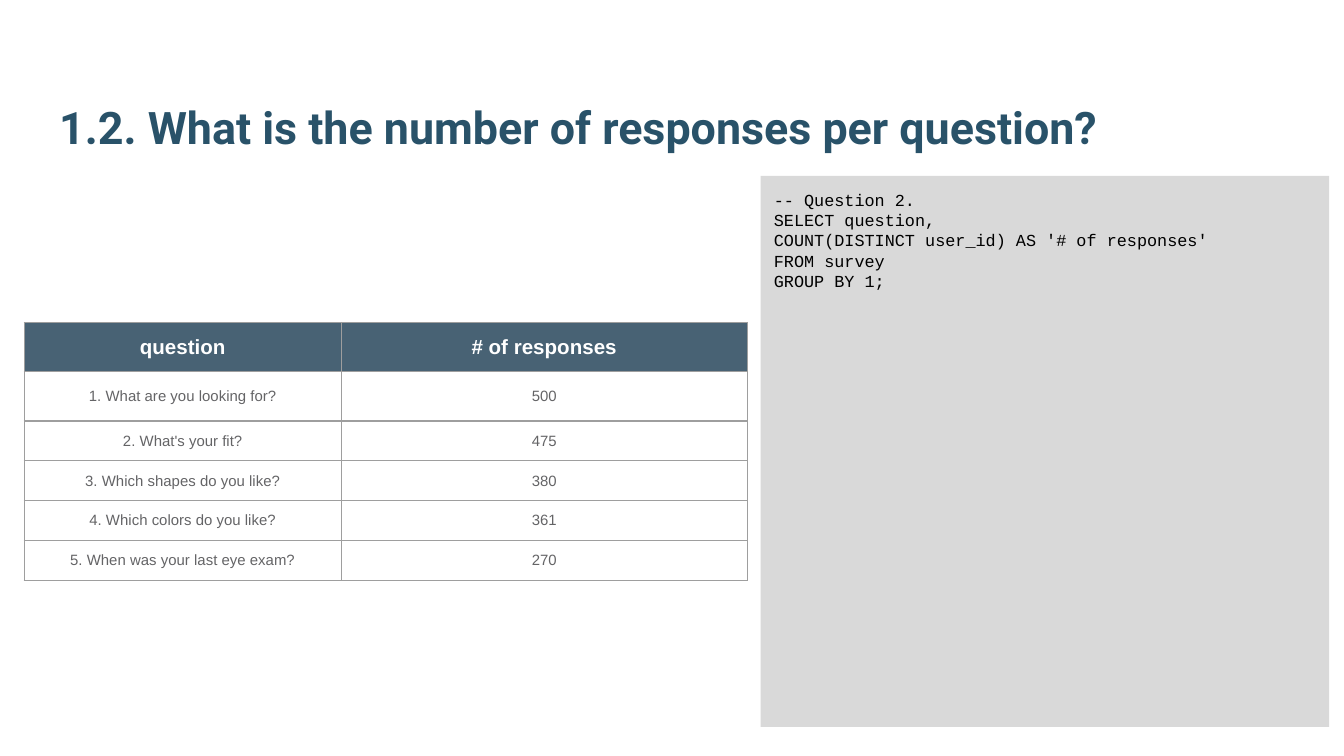
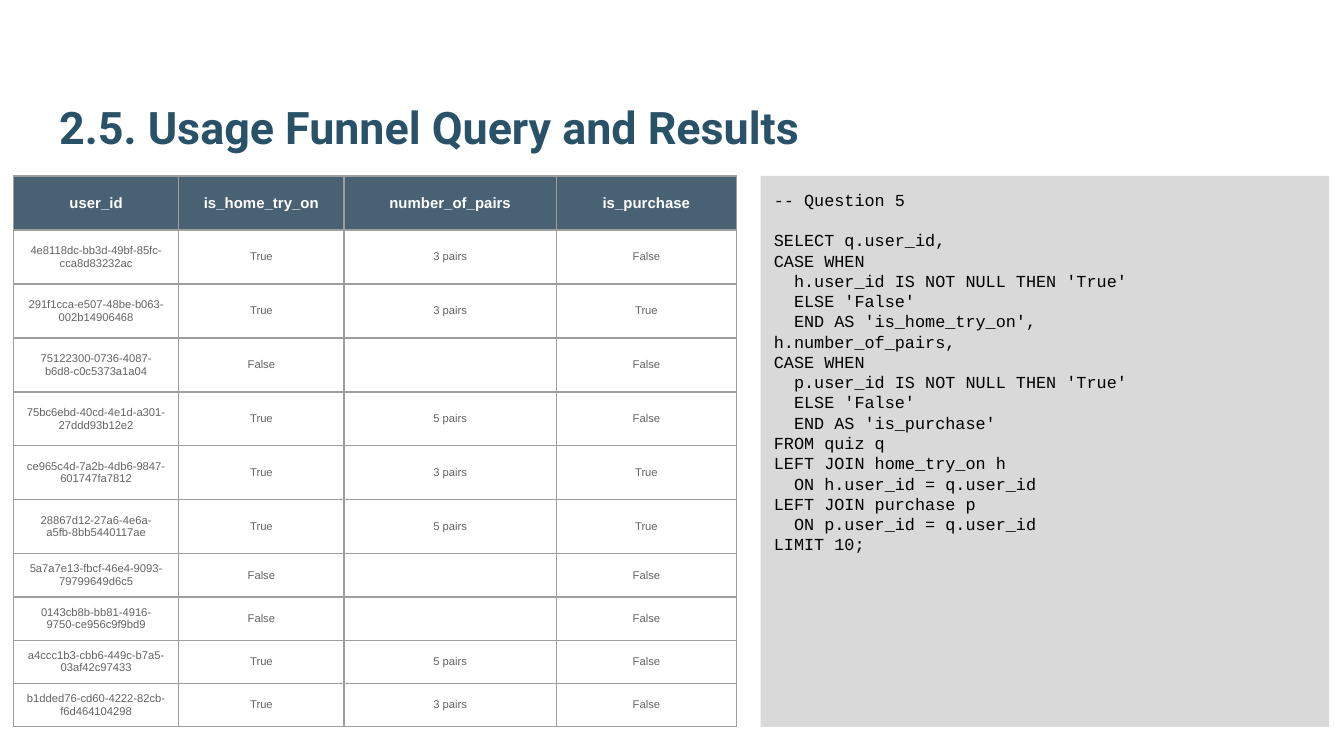
from lxml.etree import SubElement
from pptx import Presentation
from pptx.dml.color import RGBColor
from pptx.enum.shapes import MSO_SHAPE
from pptx.enum.text import MSO_ANCHOR, MSO_AUTO_SIZE, PP_ALIGN
from pptx.oxml.ns import qn
from pptx.util import Inches, Pt

# Shared style
TITLE, HEADER, BODY = "295269", "204056", "646466"
PANEL, RULE, WHITE, BLACK = "D9D9D9", "9E9E9E", "FFFFFF", "000000"
HEADER_ALPHA = 82
CODE_SIZE, CODE_LINE = 9, 10.85

# Slide content
RESPONSES = [
    ("question", "# of responses"),
    ("1. What are you looking for?", "500"),
    ("2. What's your fit?", "475"),
    ("3. Which shapes do you like?", "380"),
    ("4. Which colors do you like?", "361"),
    ("5. When was your last eye exam?", "270"),
]
RESPONSES_SQL = """-- Question 2.
SELECT question,
COUNT(DISTINCT user_id) AS '# of responses'
FROM survey
GROUP BY 1;"""

FUNNEL = [
    ("user_id", "is_home_try_on", "number_of_pairs", "is_purchase"),
    ("4e8118dc-bb3d-49bf-85fc-cca8d83232ac", "True", "3 pairs", "False"),
    ("291f1cca-e507-48be-b063-002b14906468", "True", "3 pairs", "True"),
    ("75122300-0736-4087-b6d8-c0c5373a1a04", "False", "", "False"),
    ("75bc6ebd-40cd-4e1d-a301-27ddd93b12e2", "True", "5 pairs", "False"),
    ("ce965c4d-7a2b-4db6-9847-601747fa7812", "True", "3 pairs", "True"),
    ("28867d12-27a6-4e6a-a5fb-8bb5440117ae", "True", "5 pairs", "True"),
    ("5a7a7e13-fbcf-46e4-9093-79799649d6c5", "False", "", "False"),
    ("0143cb8b-bb81-4916-9750-ce956c9f9bd9", "False", "", "False"),
    ("a4ccc1b3-cbb6-449c-b7a5-03af42c97433", "True", "5 pairs", "False"),
    ("b1dded76-cd60-4222-82cb-f6d464104298", "True", "3 pairs", "False"),
]
FUNNEL_SQL = """-- Question 5

SELECT q.user_id,
CASE WHEN
  h.user_id IS NOT NULL THEN 'True'
  ELSE 'False'
  END AS 'is_home_try_on',
h.number_of_pairs,
CASE WHEN
  p.user_id IS NOT NULL THEN 'True'
  ELSE 'False'
  END AS 'is_purchase'
FROM quiz q
LEFT JOIN home_try_on h
  ON h.user_id = q.user_id
LEFT JOIN purchase p
  ON p.user_id = q.user_id
LIMIT 10;"""


def rgb(color):
    return RGBColor.from_string(color)


def add_run(p, text, font, size, color, bold=False):
    r = p.add_run()
    r.text = text
    r.font.name, r.font.size, r.font.bold = font, Pt(size), bold
    r.font.color.rgb = rgb(color)


def set_frame(tf, anchor):
    tf.word_wrap = True
    tf.auto_size = MSO_AUTO_SIZE.NONE
    tf.vertical_anchor = anchor
    tf.margin_left = tf.margin_right = Inches(0.1)
    tf.margin_top = tf.margin_bottom = Inches(0.1)


def add_title(s, text):
    sp = s.shapes.title
    sp.left, sp.top = Inches(0.34), Inches(0.32)
    sp.width, sp.height = Inches(9.32), Inches(0.92)
    set_frame(sp.text_frame, MSO_ANCHOR.BOTTOM)
    p = sp.text_frame.paragraphs[0]
    p.alignment = PP_ALIGN.LEFT
    add_run(p, text, "Roboto", 24, TITLE, True)


def add_code(s, code):
    sp = s.shapes.add_shape(MSO_SHAPE.RECTANGLE, Inches(5.66), Inches(1.31),
                            Inches(4.23), Inches(4.1))
    sp.shadow.inherit = False
    sp.fill.solid()
    sp.fill.fore_color.rgb = rgb(PANEL)
    sp.line.fill.background()
    tf = sp.text_frame
    set_frame(tf, MSO_ANCHOR.TOP)
    gap = 0
    for i, line in enumerate(code.split("\n")):
        if not line:  # an empty code line becomes space before the next one
            gap += CODE_LINE
            continue
        p = tf.add_paragraph() if i else tf.paragraphs[0]
        p.alignment = PP_ALIGN.LEFT
        p.line_spacing = Pt(CODE_LINE)
        p.space_before = Pt(gap)
        gap = 0
        add_run(p, line, "Courier New", CODE_SIZE, BLACK)


def set_borders(cell):
    tc_pr = cell._tc.get_or_add_tcPr()
    for i, side in enumerate(("lnL", "lnR", "lnT", "lnB")):
        ln = tc_pr.makeelement(qn(f"a:{side}"), {"w": str(Pt(0.75))})
        fill = SubElement(ln, qn("a:solidFill"))
        SubElement(fill, qn("a:srgbClr"), val=RULE)
        tc_pr.insert(i, ln)


def fill_cell(cell, text, size, is_header):
    cell.vertical_anchor = MSO_ANCHOR.MIDDLE
    if is_header:
        cell.fill.solid()
        cell.fill.fore_color.rgb = rgb(HEADER)
        color = cell._tc.tcPr.find(".//" + qn("a:srgbClr"))
        SubElement(color, qn("a:alpha"), val=str(HEADER_ALPHA * 1000))
    else:
        cell.fill.background()
    set_borders(cell)
    p = cell.text_frame.paragraphs[0]
    p.alignment = PP_ALIGN.CENTER
    if text:
        add_run(p, text, "Arial", size, WHITE if is_header else BODY, is_header)
    else:  # keeps the empty cell from stretching its row
        SubElement(p._p, qn("a:endParaRPr"), sz=str(size * 100))


def add_data_table(s, rows, left, top, widths, height, shares, header_size, body_size):
    """Split the table height among the rows in proportion to their shares."""
    frame = s.shapes.add_table(len(rows), len(widths), Inches(left), Inches(top),
                               Inches(sum(widths)), Inches(height))
    table = frame.table
    table.horz_banding = False
    for column, width in zip(table.columns, widths):
        column.width = Inches(width)
    for i, (row, share, texts) in enumerate(zip(table.rows, shares, rows)):
        row.height = Inches(height * share / sum(shares))
        for cell, text in zip(row.cells, texts):
            fill_cell(cell, text, body_size if i else header_size, i == 0)


def add_query_slide(prs, title, code):
    s = prs.slides.add_slide(prs.slide_layouts[5])
    s.background.fill.solid()
    s.background.fill.fore_color.rgb = rgb(WHITE)
    add_title(s, title)
    add_code(s, code)
    return s


def main():
    prs = Presentation()
    prs.slide_width = Inches(10)
    prs.slide_height = prs.slide_width * 9 // 16

    # Responses per question
    s = add_query_slide(prs, "1.2. What is the number of responses per question?",
                        RESPONSES_SQL)
    add_data_table(s, RESPONSES, 0.18, 2.4, [2.36, 3.02], 1.92,
                   [0.37] * 2 + [0.3] * 4, 11, 8)

    # Usage funnel
    s = add_query_slide(prs, "2.5. Usage Funnel Query and Results", FUNNEL_SQL)
    add_data_table(s, FUNNEL, 0.1, 1.31, [1.23, 1.23, 1.58, 1.34], 4.1,
                   [0.4] * 7 + [0.32] * 4, 8, 6)

    prs.save("out.pptx")


if __name__ == "__main__":
    main()
